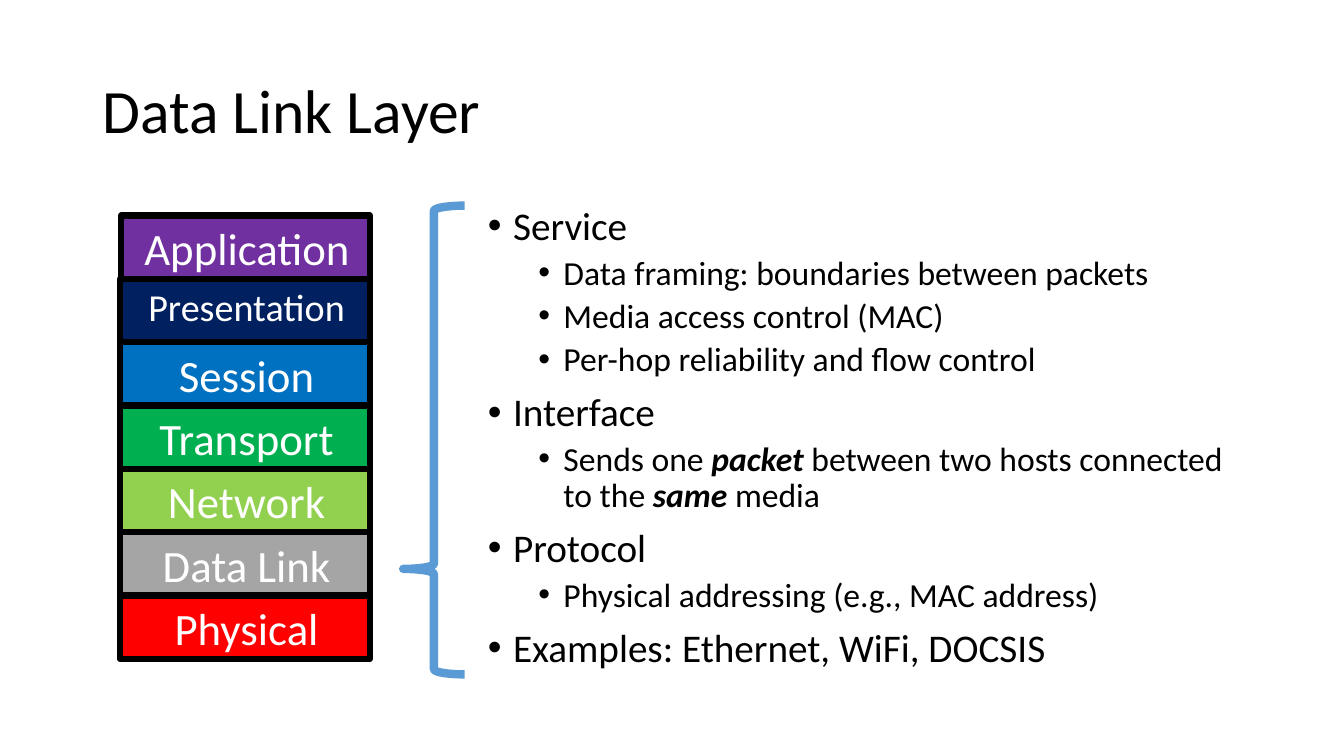
from lxml import etree
from pptx import Presentation
from pptx import util as u
from pptx.dml.color import RGBColor
from pptx.enum import shapes, text
from pptx.oxml.ns import qn


def tint(code):
    return RGBColor.from_string(code)


def apply(obj, vals):
    for key, val in vals.items():
        setattr(obj, key, val)


class Deck:
    face = "Calibri"
    ink = "000000"

    def __init__(self):
        self.prs = Presentation()
        apply(self.prs, {"slide_width": u.Pt(960), "slide_height": u.Pt(540)})
        self.slide = self.prs.slides.add_slide(self.prs.slide_layouts[1])

    def place(self, shape, box):
        keys = ("left", "top", "width", "height")
        apply(shape, {k: u.Pt(v) for k, v in zip(keys, box)})

    def frame(self, shape, anchor):
        frame = shape.text_frame
        apply(frame, {"word_wrap": True, "auto_size": text.MSO_AUTO_SIZE.NONE,
                      "vertical_anchor": anchor})
        return frame

    def run(self, para, words, size, color, **marks):
        run = para.add_run()
        run.text = words
        apply(run.font, {"name": self.face, "size": u.Pt(size), **marks})
        run.font.color.rgb = tint(color)

    def title(self, words, box):
        shape = self.slide.shapes.title
        self.place(shape, box)
        para = self.frame(shape, text.MSO_ANCHOR.MIDDLE).paragraphs[0]
        apply(para, {"alignment": text.PP_ALIGN.LEFT, "line_spacing": 0.9})
        self.run(para, words, 44, self.ink)

    def bullet(self, para, left):
        props = para._p.get_or_add_pPr()
        props.set("marL", str(u.Pt(left)))
        props.set("indent", str(u.Pt(-18)))
        etree.SubElement(props, qn("a:buFont"), typeface="Arial")
        etree.SubElement(props, qn("a:buChar"), char="•")

    def list(self, items, box):
        shape = self.slide.placeholders[1]
        self.place(shape, box)
        frame = self.frame(shape, text.MSO_ANCHOR.TOP)
        for i, (level, words) in enumerate(items):
            para = frame.add_paragraph() if i else frame.paragraphs[0]
            left, size, gap = ((18, 28, 10), (54, 24, 5))[level]
            self.bullet(para, left)
            apply(para, {"level": level, "line_spacing": 0.9,
                         "space_before": u.Pt(gap if i else 0)})
            for j, part in enumerate(words.split("*")):
                strong = j % 2 == 1
                self.run(para, part, size, self.ink, bold=strong, italic=strong)

    def shape(self, kind, box, line, width, fill=None):
        shape = self.slide.shapes.add_shape(kind, *map(u.Pt, box))
        shape.shadow.inherit = False
        if fill:
            shape.fill.solid()
            shape.fill.fore_color.rgb = tint(fill)
        else:
            shape.fill.background()
        shape.line.color.rgb = tint(line)
        shape.line.width = u.Pt(width)
        return shape

    def label(self, words, box, size):
        shape = self.slide.shapes.add_textbox(*map(u.Pt, box))
        para = self.frame(shape, text.MSO_ANCHOR.TOP).paragraphs[0]
        para._p.get_or_add_pPr().set("marL", str(u.Pt(9)))
        para.alignment = text.PP_ALIGN.CENTER
        self.run(para, words, size, "FFFFFF")

    def layer(self, words, fill, box, size):
        left, top, width, height = box
        self.shape(shapes.MSO_SHAPE.RECTANGLE, box, self.ink, 4.5, fill)
        self.label(words, (left - 2.2, top, width - 2.2, height), size)

    def brace(self, box, curve, point):
        shape = self.shape(shapes.MSO_SHAPE.LEFT_BRACE, box, "5B9BD5", 6)
        shape.adjustments[0] = curve
        shape.adjustments[1] = point


LAYERS = [
    ("Application", "7030A0"),
    ("Presentation", "002060"),
    ("Session", "0070C0"),
    ("Transport", "00B050"),
    ("Network", "92D050"),
    ("Data Link", "A5A5A5"),
    ("Physical", "FF0000"),
]

POINTS = [
    (0, "Service"),
    (1, "Data framing: boundaries between packets"),
    (1, "Media access control (MAC)"),
    (1, "Per-hop reliability and flow control"),
    (0, "Interface"),
    (1, "Sends one *packet* between two hosts connected to the *same* media"),
    (0, "Protocol"),
    (1, "Physical addressing (e.g., MAC address)"),
    (0, "Examples: Ethernet, WiFi, DOCSIS"),
]


def main():
    deck = Deck()
    deck.title("Data Link Layer", (66, 28.75, 828, 104.4))
    deck.list(POINTS, (341.3, 144, 553, 342.7))
    pitch = 45.25
    for i, (name, fill) in enumerate(LAYERS):
        left = 85.7 if i else 86.4
        size = 27.2 if name == "Presentation" else 32
        box = (left, 154 + i * pitch, 264.2 - left, pitch)
        deck.layer(name, fill, box, size)
    deck.brace((288, 146.9, 43.9, 334.8), 0.083, 0.775)
    deck.prs.save("out.pptx")


if __name__ == "__main__":
    main()
